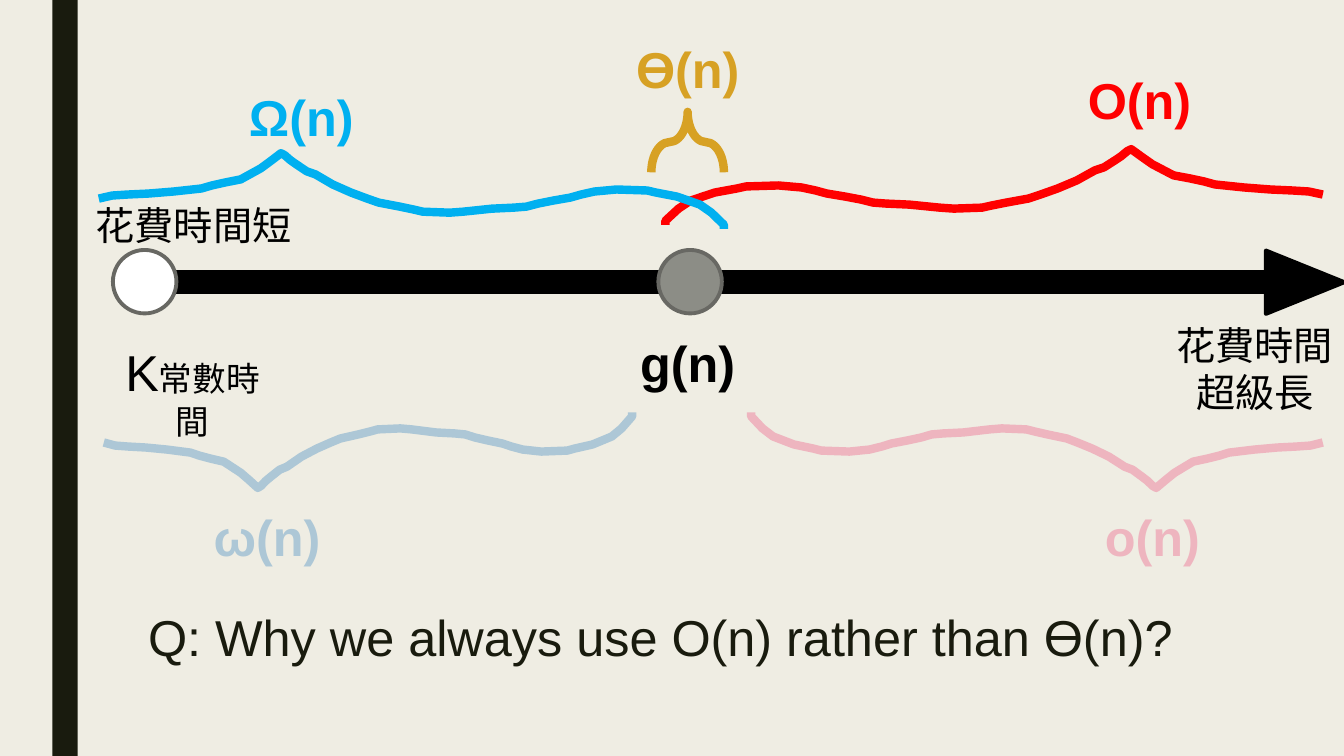
import pptx
import pptx.dml.color
import pptx.enum.shapes
import pptx.enum.text
import pptx.util

Inches = pptx.util.Inches
Preset = pptx.enum.shapes.MSO_SHAPE
Align = pptx.enum.text.PP_ALIGN

BLACK, GREY, RED, BLUE, GOLD = "000000", "686863", "FF0000", "00B0F0", "D7A124"
PALE_BLUE, PINK, INK, PAPER = "ADC7D6", "EEB5BF", "191B0E", "EFEDE3"

# Wavy brace from its hook to its far end, in a 6.52 by 0.75 frame
BRACE_WIDTH, BRACE_HEIGHT = 6.52, 0.75
BRACE_POINTS = [
    (0, .75), (0, .71), (.13, .59), (.25, .51), (.37, .47), (.49, .43),
    (.6, .41), (.71, .39), (.8, .37), (1.12, .36), (1.35, .38), (1.49, .41),
    (1.6, .44), (1.78, .47), (1.94, .5), (2.06, .53), (2.19, .54),
    (2.42, .55), (2.72, .58), (2.86, .59), (3.14, .58), (3.23, .56),
    (3.38, .53), (3.6, .49), (3.72, .45), (3.89, .39), (4.08, .31),
    (4.17, .26), (4.26, .21), (4.35, .18), (4.46, .11), (4.52, .07),
    (4.58, .02), (4.62, 0), (4.73, .08), (4.83, .15), (5.04, .26),
    (5.2, .29), (5.34, .32), (5.45, .35), (5.74, .38), (6, .4),
    (6.22, .41), (6.38, .42), (6.52, .45),
]


def color(value):
    return pptx.dml.color.RGBColor.from_string(value)


def style(shape, fill=None, line=None, weight=2.75):
    shape.shadow.inherit = False
    if fill:
        shape.fill.solid()
        shape.fill.fore_color.rgb = color(fill)
    else:
        shape.fill.background()
    if line:
        shape.line.color.rgb = color(line)
        shape.line.width = pptx.util.Pt(weight)
    else:
        shape.line.fill.background()


def add_preset(page, preset, box, **look):
    shape = page.shapes.add_shape(preset, *map(Inches, box))
    style(shape, **look)
    return shape


def add_text(page, box, lines, font="Arial", ink=BLACK, bold=False,
             align=Align.LEFT, spacing=None):
    """Each line is a list of (text, size) runs."""
    frame = page.shapes.add_textbox(*map(Inches, box)).text_frame
    frame.word_wrap = True
    for index, spans in enumerate(lines):
        para = frame.paragraphs[0] if index == 0 else frame.add_paragraph()
        para.alignment = align
        if spacing:
            para.line_spacing = spacing
        for text, size in spans:
            span = para.add_run()
            span.text = text
            span.font.name = font
            span.font.size = pptx.util.Pt(size)
            span.font.bold = bold
            span.font.color.rgb = color(ink)


def add_label(page, left, top, text, ink):
    add_text(page, (left, top, 1.32, 0.71), [[(text, 36)]], ink=ink, bold=True)


def add_wavy_brace(page, left, top, width, ink, hook_right=False, tip_down=False):
    points = []
    for x, y in BRACE_POINTS:
        across = x / BRACE_WIDTH * width
        points.append((
            Inches(left + (width - across if hook_right else across)),
            Inches(top + (BRACE_HEIGHT - y if tip_down else y))))
    builder = page.shapes.build_freeform(*points[0], scale=1.0)
    builder.add_line_segments(points[1:], close=False)
    style(builder.convert_to_shape(), line=ink, weight=6)


def add_time_axis(page, left, top, width):
    """Arrow with its start and middle points, top being the top of the dots."""
    dot = 0.63
    add_preset(page, Preset.RECTANGLE, (left + 0.21, top + 0.22, width - 0.61, 0.2),
               fill=BLACK, line=BLACK)
    head = add_preset(page, Preset.ISOSCELES_TRIANGLE,
                      (left + width - 0.71, top - 0.07, dot, 0.78),
                      fill=BLACK, line=BLACK)
    head.rotation = 90
    for offset, fill in ((0, "FFFFFF"), (5.41, "8C8D86")):
        add_preset(page, Preset.OVAL, (left + offset, top, dot, dot),
                   fill=fill, line=GREY)

    # Captions along the axis
    add_text(page, (left - 0.27, top - 0.53, 2.17, 0.57),
             [[("花費時間短", 28)]], font="Lato")
    add_text(page, (left - 0.14, top + 0.85, 1.86, 0.71),
             [[("K", 36), ("常數時間", 24)]], align=Align.CENTER)
    add_label(page, left + 5.13, top + 0.77, "g(n)", BLACK)
    add_text(page, (left + 10.44, top + 0.66, 1.77, 1.04),
             [[("花費時間", 28)], [("超級長", 28)]], font="Lato", align=Align.CENTER)


def add_bounds(page):
    # Wavy braces above and below the axis
    add_wavy_brace(page, 6.6, 1.48, 6.52, RED)
    add_wavy_brace(page, 0.98, 1.52, 6.2, BLUE, hook_right=True)
    add_wavy_brace(page, 1.03, 4.09, 5.24, PALE_BLUE, hook_right=True, tip_down=True)
    add_wavy_brace(page, 7.45, 4.09, 5.67, PINK, tip_down=True)

    # Tight bound around the middle point
    brace = add_preset(page, Preset.LEFT_BRACE, (6.52, 1.05, 0.6, 0.72),
                       line=GOLD, weight=6)
    brace.rotation = 90
    brace.adjustments[0] = 0.92
    brace.adjustments[1] = 0.5

    for left, top, text, ink in (
            (10.69, 0.64, "O(n)", RED), (6.21, 0.33, "ϴ(n)", GOLD),
            (2.37, 0.81, "Ω(n)", BLUE), (10.86, 4.97, "o(n)", PINK),
            (2.02, 4.97, "ω(n)", PALE_BLUE)):
        add_label(page, left, top, text, ink)


def main():
    deck = pptx.Presentation()
    deck.slide_width, deck.slide_height = Inches(13.33), Inches(7.5)
    page = deck.slides.add_slide(deck.slide_layouts[6])

    # Background and side bar
    page.background.fill.solid()
    page.background.fill.fore_color.rgb = color(PAPER)
    add_preset(page, Preset.RECTANGLE, (0.52, 0, 0.25, 7.5), fill=INK)

    add_time_axis(page, 1.12, 2.48, 12.22)
    add_bounds(page)

    # Closing question
    add_text(page, (1.37, 6.04, 11, 0.95),
             [[("Q: Why we always use O(n) rather than ϴ(n)?", 36)]],
             ink=INK, spacing=0.89)
    deck.save("out.pptx")


if __name__ == "__main__":
    main()
